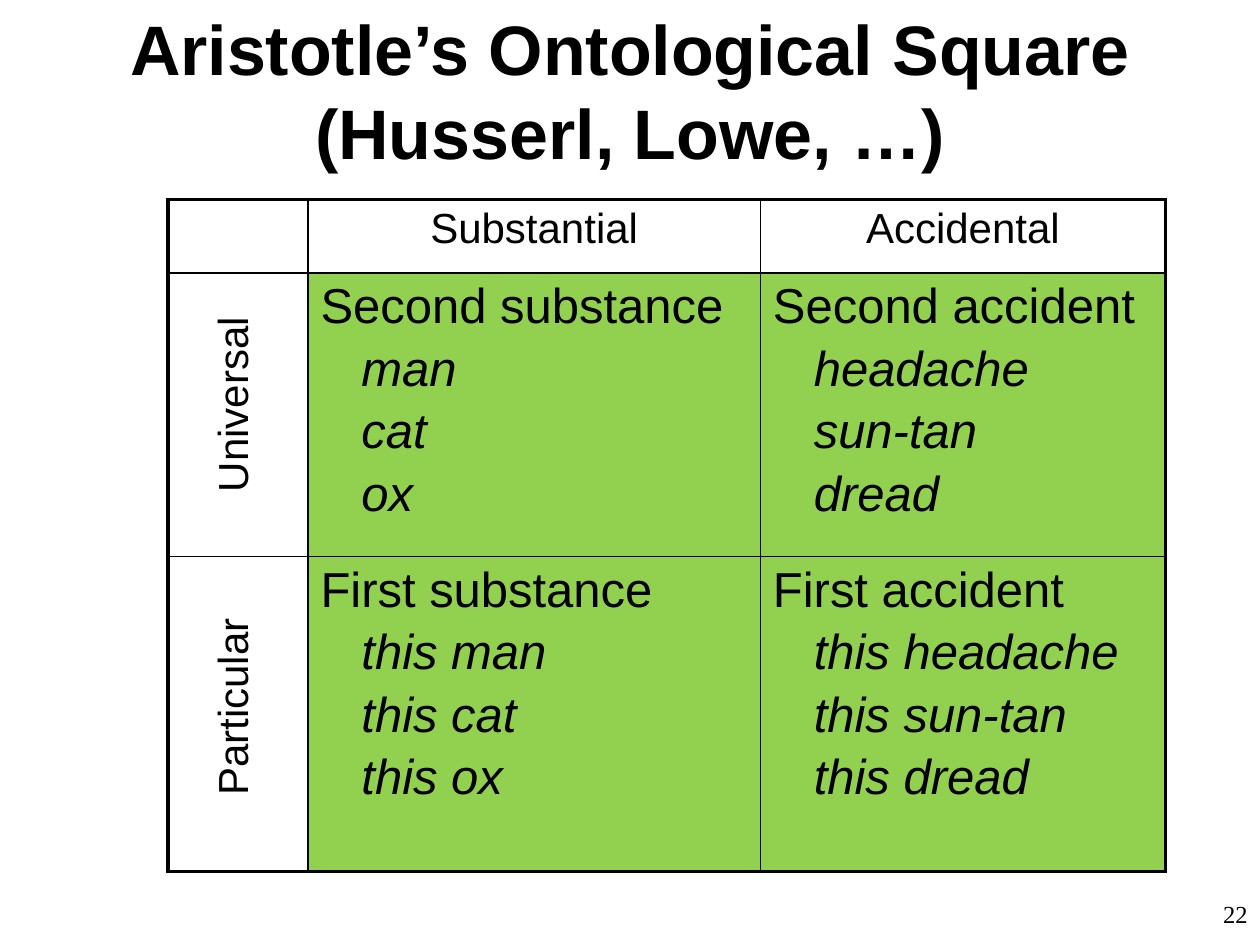
from dataclasses import dataclass

from lxml.etree import SubElement
from pptx import Presentation
from pptx.dml.color import RGBColor
from pptx.enum.text import MSO_ANCHOR, PP_ALIGN
from pptx.oxml.ns import qn
from pptx.util import Pt

BLACK, GREEN = "000000", "92D050"
COLS = (80, 258.5, 231.5)
ROWS = (42, 162, 180)
THICK, THIN = 2.25, 1
INDENT, GAP = 23.35, 4.5


@dataclass
class Label:
    """A free text box with its place, font and lines."""
    lines: tuple
    left: float
    top: float
    width: float
    height: float
    size: float
    font: str = "Arial"
    bold: bool = False
    align: PP_ALIGN = PP_ALIGN.LEFT
    anchor: MSO_ANCHOR = MSO_ANCHOR.TOP
    rotation: float = 0


@dataclass
class Category:
    """A green quadrant with its heading and examples."""
    row: int
    col: int
    heading: str
    examples: tuple


LABELS = (
    Label(("22",), 552, 510, 168, 30, 14, "Times New Roman", align=PP_ALIGN.RIGHT),
    Label(("Aristotle’s Ontological Square", "(Husserl, Lowe, …)"), 36, 30, 648, 42, 40,
          bold=True, align=PP_ALIGN.CENTER, anchor=MSO_ANCHOR.MIDDLE),
    Label(("Universal",), 71.5, 209.5, 121.5, 36, 24, rotation=270),
    Label(("Particular",), 71.5, 383, 121.5, 36, 24, rotation=270),
)
HEADERS = ("Substantial", "Accidental")
CATEGORIES = (
    Category(1, 1, "Second substance", ("man", "cat", "ox")),
    Category(1, 2, "Second accident", ("headache", "sun-tan", "dread")),
    Category(2, 1, "First substance", ("this man", "this cat", "this ox")),
    Category(2, 2, "First accident", ("this headache", "this sun-tan", "this dread")),
)


def rgb(color: str) -> RGBColor:
    """Turn a hex string into a colour."""
    return RGBColor.from_string(color)


def add_run(p, text: str, size: float, font: str = "Arial",
            bold: bool = False, italic: bool = False) -> None:
    """Add one black run to a paragraph."""
    r = p.add_run()
    r.text = text
    r.font.size, r.font.name = Pt(size), font
    r.font.bold, r.font.italic = bold, italic
    r.font.color.rgb = rgb(BLACK)


def add_label(s, label: Label) -> None:
    """Draw a text box."""
    sp = s.shapes.add_textbox(Pt(label.left), Pt(label.top), Pt(label.width), Pt(label.height))
    sp.rotation = label.rotation
    tf = sp.text_frame
    tf.word_wrap = True
    tf.vertical_anchor = label.anchor
    p = tf.paragraphs[0]
    p.alignment = label.align
    for i, line in enumerate(label.lines):
        if i:
            p.add_line_break()
        add_run(p, line, label.size, label.font, label.bold)


def set_borders(cell, row: int, col: int) -> None:
    """Give a cell thick lines on the table's edge and thin lines inside."""
    outer = {"lnL": col == 0, "lnR": col == len(COLS) - 1,
             "lnT": row == 0, "lnB": row == len(ROWS) - 1}
    tcPr = cell._tc.get_or_add_tcPr()
    for side, is_outer in outer.items():
        ln = SubElement(tcPr, qn(f"a:{side}"), w=str(Pt(THICK if is_outer else THIN)))
        fill = SubElement(ln, qn("a:solidFill"))
        SubElement(fill, qn("a:srgbClr"), val=BLACK)


def add_square(s):
    """Draw the bordered grid with its green quadrants."""
    table = s.shapes.add_table(len(ROWS), len(COLS), Pt(96), Pt(114),
                               Pt(sum(COLS)), Pt(sum(ROWS))).table
    table.first_row = table.horz_banding = False
    for col, width in enumerate(COLS):
        table.columns[col].width = Pt(width)
    for row, height in enumerate(ROWS):
        table.rows[row].height = Pt(height)
        for col in range(len(COLS)):
            cell = table.cell(row, col)
            set_borders(cell, row, col)
            if row and col:
                cell.fill.solid()
                cell.fill.fore_color.rgb = rgb(GREEN)
            else:
                cell.fill.background()
    return table


def fill_category(table, category: Category) -> None:
    """Write a heading and its indented examples."""
    tf = table.cell(category.row, category.col).text_frame
    add_run(tf.paragraphs[0], category.heading, 28)
    for example in category.examples:
        p = tf.add_paragraph()
        p._p.get_or_add_pPr().set("marL", str(Pt(INDENT)))
        p.space_before = Pt(GAP)
        add_run(p, example, 28, italic=True)


def main() -> None:
    """Build and save the slide."""
    prs = Presentation()
    prs.slide_width, prs.slide_height = Pt(720), Pt(540)
    s = prs.slides.add_slide(prs.slide_layouts[6])
    table = add_square(s)
    for col, header in enumerate(HEADERS, start=1):
        p = table.cell(0, col).text_frame.paragraphs[0]
        p.alignment = PP_ALIGN.CENTER
        add_run(p, header, 24)
    for category in CATEGORIES:
        fill_category(table, category)
    for label in LABELS:
        add_label(s, label)
    prs.save("out.pptx")


if __name__ == "__main__":
    main()
